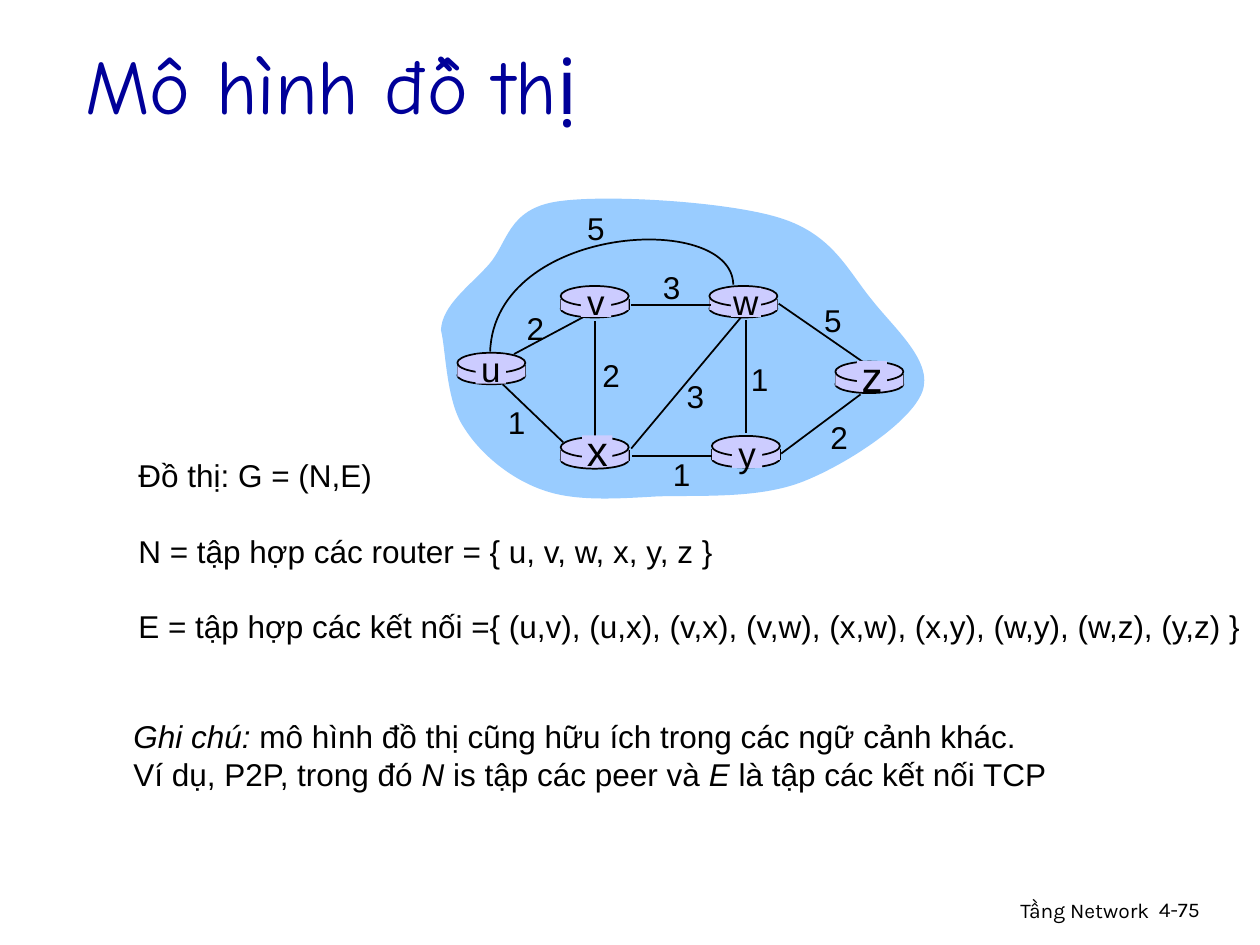
import dataclasses

import lxml.etree
import pptx
import pptx.dml.color
import pptx.enum.shapes
import pptx.enum.text
import pptx.oxml
import pptx.oxml.ns
import pptx.util
from pptx.util import Inches

SHAPE = pptx.enum.shapes.MSO_SHAPE
ALIGN = pptx.enum.text.PP_ALIGN
ANCHOR = pptx.enum.text.MSO_ANCHOR


@dataclasses.dataclass(frozen=True)
class Theme:
    ink: str = "000000"
    title_ink: str = "000099"
    cloud: str = "99CCFF"
    router: str = "CCCCFF"
    body_font: str = "Arial"
    title_font: str = "Comic Neue"
    footer_font: str = "Karla"
    title_size: int = 44
    body_size: int = 18
    footer_size: int = 12
    line_width: float = 1
    paragraph_gap: float = 21.6


def rgb(value):
    return pptx.dml.color.RGBColor.from_string(value)


def add_run(p, text, font, size, color, italic=False):
    r = p.add_run()
    r.text = text
    r.font.name = font
    r.font.size = pptx.util.Pt(size)
    r.font.color.rgb = rgb(color)
    r.font.italic = italic


def bezier_points(start, curves, steps=16):
    points = [start]
    for b, c, d in curves:
        a = points[-1]
        for i in range(1, steps + 1):
            t = i / steps
            u = 1 - t
            points.append(tuple(
                u**3 * a[k] + 3 * u * u * t * b[k] + 3 * u * t * t * c[k] + t**3 * d[k]
                for k in (0, 1)))
    return points


class GraphSlide:
    """Draws themed elements on one slide."""

    def __init__(self, slide, theme):
        self.slide = slide
        self.theme = theme

    def paint(self, sp, fill=None, line=None):
        sp.shadow.inherit = False
        if fill:
            sp.fill.solid()
            sp.fill.fore_color.rgb = rgb(fill)
        else:
            sp.fill.background()
        if line:
            sp.line.color.rgb = rgb(line)
            sp.line.width = pptx.util.Pt(self.theme.line_width)
        else:
            sp.line.fill.background()

    def text(self, x, y, w, h, paragraphs, font=None, size=None, color=None,
             align=ALIGN.LEFT, anchor=ANCHOR.TOP, wrap=True, gap=0):
        th = self.theme
        tf = self.slide.shapes.add_textbox(Inches(x), Inches(y), Inches(w), Inches(h)).text_frame
        tf.word_wrap = wrap
        tf.vertical_anchor = anchor
        for i, runs in enumerate(paragraphs):
            p = tf.add_paragraph() if i else tf.paragraphs[0]
            p.alignment = align
            if i and gap:
                p.space_before = pptx.util.Pt(gap)
            for text, italic in runs:
                add_run(p, text, font or th.body_font, size or th.body_size,
                        color or th.ink, italic)

    def shape(self, kind, x, y, w, h, fill, line=None):
        sp = self.slide.shapes.add_shape(kind, Inches(x), Inches(y), Inches(w), Inches(h))
        self.paint(sp, fill, line)

    def curve(self, start, curves, closed=False, fill=None, line=None):
        qn = pptx.oxml.ns.qn
        outline = [(Inches(x), Inches(y)) for x, y in bezier_points(start, curves)]
        builder = self.slide.shapes.build_freeform(*outline[0])
        builder.add_line_segments(outline[1:], close=closed)
        sp = builder.convert_to_shape()
        track = next(sp._element.iter(qn("a:path")))
        for child in list(track):
            track.remove(child)
        for tag, points in [("a:moveTo", [start])] + [("a:cubicBezTo", c) for c in curves]:
            segment = lxml.etree.SubElement(track, qn(tag))
            for x, y in points:
                lxml.etree.SubElement(segment, qn("a:pt"), x=str(Inches(x) - sp.left),
                                      y=str(Inches(y) - sp.top))
        if closed:
            lxml.etree.SubElement(track, qn("a:close"))
        self.paint(sp, fill, line)

    def link(self, x1, y1, x2, y2):
        sp = self.slide.shapes.add_connector(
            pptx.enum.shapes.MSO_CONNECTOR.STRAIGHT,
            Inches(x1), Inches(y1), Inches(x2), Inches(y2))
        sp.line.color.rgb = rgb(self.theme.ink)
        sp.line.width = pptx.util.Pt(self.theme.line_width)
        sp._element.spPr.append(pptx.oxml.parse_xml(
            "<a:effectLst %s/>" % pptx.oxml.ns.nsdecls("a")))

    def cost(self, value, x, y):
        self.text(x, y, 0.34, 0.4, [[(value, False)]], align=ALIGN.CENTER, wrap=False)

    def router(self, x, y):
        th = self.theme
        w, body_top, body_h = 0.54, y + 0.1, 0.09
        self.shape(SHAPE.OVAL, x, y + 0.11, w, 0.14, th.router, th.ink)
        for side in (x, x + w):
            self.link(side, body_top, side, body_top + body_h)
        self.shape(SHAPE.RECTANGLE, x, body_top, w, body_h, th.router)
        self.shape(SHAPE.OVAL, x, y, w, 0.16, th.router, th.ink)

    def router_name(self, name, x, y, w, h, size):
        patch_w, patch_h = 0.24, 0.23
        self.shape(SHAPE.RECTANGLE, x + (w - patch_w) / 2, y + (h - patch_h) / 2,
                   patch_w, patch_h, self.theme.router)
        self.text(x, y, w, h, [[(name, False)]], size=size, align=ALIGN.CENTER, wrap=False)


CLOUD = [
    ((3.51, 2.42), (3.73, 2.27), (3.88, 2.1)),
    ((4.03, 1.93), (4.03, 1.66), (4.42, 1.6)),
    ((4.8, 1.54), (5.78, 1.6), (6.19, 1.73)),
    ((6.61, 1.86), (6.73, 2.15), (6.92, 2.38)),
    ((7.1, 2.61), (7.41, 2.87), (7.32, 3.11)),
    ((7.23, 3.35), (6.73, 3.68), (6.38, 3.82)),
    ((6.03, 3.96), (5.57, 3.93), (5.22, 3.94)),
    ((4.88, 3.96), (4.56, 3.98), (4.31, 3.89)),
    ((4.05, 3.8), (3.81, 3.6), (3.68, 3.39)),
    ((3.54, 3.18), (3.54, 2.78), (3.5, 2.62)),
]
LINK_UV = (4.08, 2.81, 4.68, 2.49)
LINKS = [
    (5.92, 2.54, 5.92, 3.44), (4.72, 2.55, 4.72, 3.48),
    (5.01, 3.56, 5.88, 2.52), (6.2, 3.6, 6.83, 3.13), (5.65, 3.62, 5.02, 3.62),
    (4.47, 3.51, 3.99, 3.05), (5.64, 2.42, 5.01, 2.42), (6.86, 2.88, 6.18, 2.41),
]
ROUTERS = [(3.63, 2.8), (4.45, 3.47), (4.45, 2.27), (5.63, 2.27), (5.65, 3.46), (6.63, 2.87)]
ROUTER_NAMES = [
    ("u", 3.72, 2.71, 0.35, 0.44, 20), ("y", 5.76, 3.38, 0.34, 0.44, 20),
    ("x", 4.56, 3.32, 0.36, 0.5, 24), ("w", 5.72, 2.18, 0.4, 0.44, 20),
    ("v", 4.56, 2.18, 0.34, 0.44, 20), ("z", 6.74, 2.73, 0.36, 0.5, 24),
]
COSTS = [
    ("2", 4.08, 2.4), ("2", 4.68, 2.78), ("1", 3.93, 3.15), ("3", 5.35, 2.94),
    ("1", 5.24, 3.56), ("1", 5.86, 2.81), ("2", 6.49, 3.27), ("5", 6.44, 2.34),
    ("3", 5.16, 2.08), ("5", 4.56, 1.61),
]
DEFINITIONS = [
    "Đồ thị: G = (N,E)",
    "N = tập hợp các router = { u, v, w, x, y, z }",
    "E = tập hợp các kết nối ={ (u,v), (u,x), (v,x), (v,w), (x,w), (x,y), (w,y), (w,z), (y,z) }",
]
NOTE = [
    [("Ghi chú:", True), (" mô hình đồ thị cũng hữu ích trong các ngữ cảnh khác.", False)],
    [("Ví dụ, P2P, trong đó ", False), ("N", True), (" is tập các peer và ", False),
     ("E", True), (" là tập các kết nối TCP", False)],
]


def main():
    prs = pptx.Presentation()
    prs.slide_width, prs.slide_height = Inches(10), Inches(7.5)
    th = Theme()
    s = GraphSlide(prs.slides.add_slide(prs.slide_layouts[6]), th)

    s.text(6.05, 7.07, 3.17, 0.31, [[("Tầng Network", False)]], font=th.footer_font,
           size=th.footer_size, align=ALIGN.RIGHT)
    s.text(9.1, 7.07, 0.74, 0.3, [[("4-75", False)]], font=th.footer_font, size=th.footer_size)
    s.curve((3.5, 2.62), CLOUD, closed=True, fill=th.cloud)
    s.link(*LINK_UV)
    for router in ROUTERS:
        s.router(*router)
    for ends in LINKS:
        s.link(*ends)
    s.curve((5.82, 2.26), [((5.81, 1.67), (3.93, 1.78), (3.89, 2.79))], line=th.ink)
    for name in ROUTER_NAMES:
        s.router_name(*name)
    for cost in COSTS:
        s.cost(*cost)
    s.text(1, 3.57, 9.03, 1.6, [[(line, False)] for line in DEFINITIONS], gap=th.paragraph_gap)
    s.text(0.58, 0.23, 8.5, 0.87, [[("Mô hình đồ thị", False)]], font=th.title_font,
           size=th.title_size, color=th.title_ink, anchor=ANCHOR.MIDDLE)
    s.text(0.96, 5.64, 8.11, 0.7, NOTE)
    prs.save("out.pptx")


if __name__ == "__main__":
    main()
